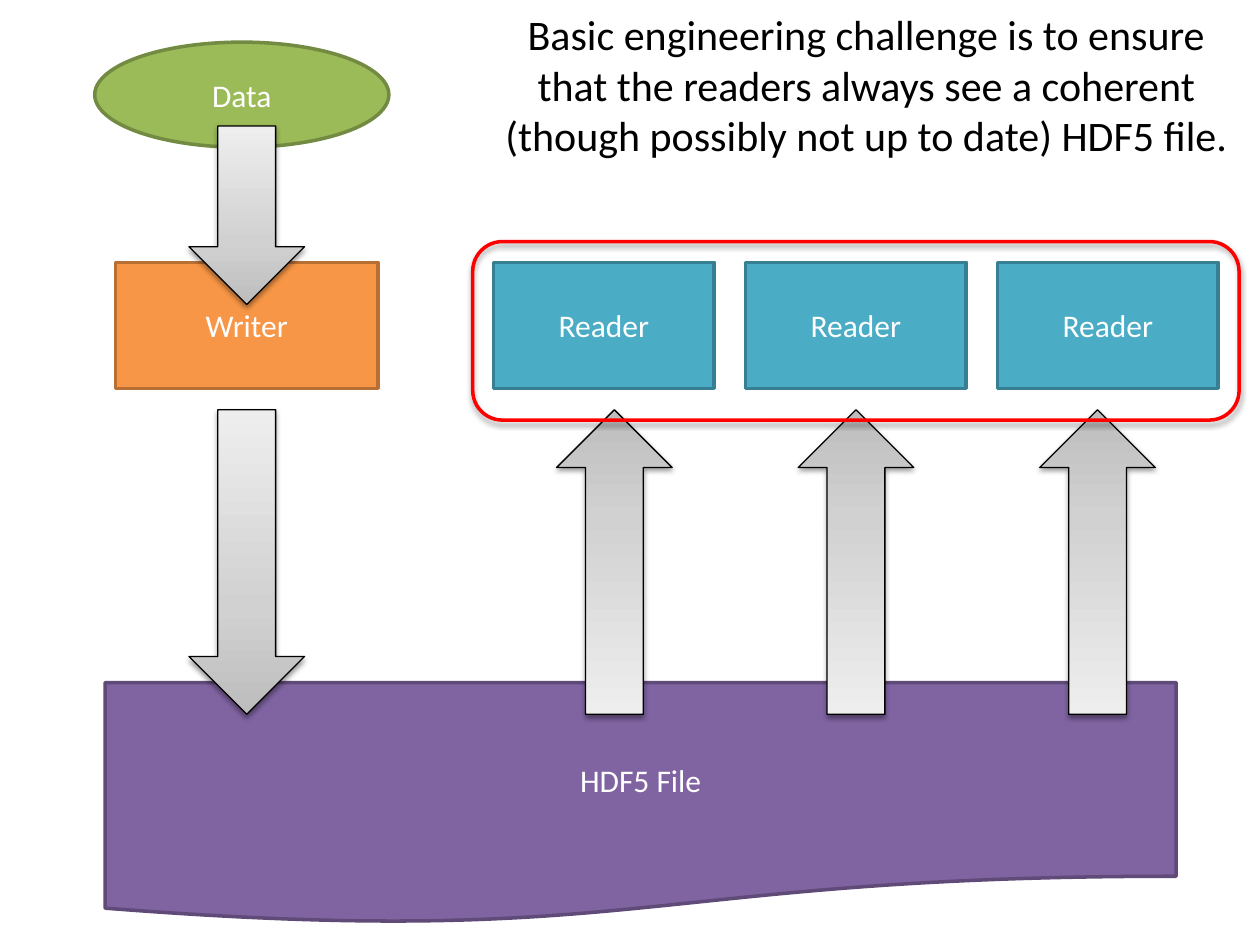
from lxml import etree
from pptx import Presentation
from pptx.dml.color import RGBColor
from pptx.enum.shapes import MSO_SHAPE
from pptx.enum.text import MSO_ANCHOR, PP_ALIGN
from pptx.oxml import parse_xml
from pptx.oxml.ns import nsdecls, qn
from pptx.util import Cm, Pt

DOCUMENT = MSO_SHAPE.FLOWCHART_DOCUMENT
RECTANGLE = MSO_SHAPE.RECTANGLE
ROUNDED = MSO_SHAPE.ROUNDED_RECTANGLE
OVAL = MSO_SHAPE.OVAL
DOWN_ARROW = MSO_SHAPE.DOWN_ARROW
CENTER = PP_ALIGN.CENTER
MIDDLE = MSO_ANCHOR.MIDDLE

FONT = "Calibri"
ARROW_STOPS = ((0, "BDBDBD"), (35, "D1D1D1"), (100, "EEEEEE"))
READER_COUNT = 3
CHALLENGE = ("Basic engineering challenge is to ensure that the readers always "
             "see a coherent (though possibly not up to date) HDF5 file.")


def rgb(value):
    """Turn a hex string into a colour."""
    return RGBColor.from_string(value)


def write_text(frame, text, size, color):
    """Fill a text frame with one centred paragraph."""
    frame.word_wrap = True
    paragraph = frame.paragraphs[0]
    paragraph.alignment = CENTER
    run = paragraph.add_run()
    run.text = text
    for attribute, value in {"name": FONT, "size": Pt(size)}.items():
        setattr(run.font, attribute, value)
    run.font.color.rgb = rgb(color)


def add_outlined(slide, kind, box, line_color, line_width):
    """Add a preset shape with an outline and no shadow."""
    shape = slide.shapes.add_shape(kind, *map(Cm, box))
    shape.shadow.inherit = False
    shape.line.color.rgb = rgb(line_color)
    shape.line.width = Pt(line_width)
    return shape


def add_node(slide, kind, box, label, fill, border):
    """Add a filled shape with a white label."""
    node = add_outlined(slide, kind, box, border, 2)
    node.fill.solid()
    node.fill.fore_color.rgb = rgb(fill)
    node.text_frame.vertical_anchor = MIDDLE
    write_text(node.text_frame, label, 18, "FFFFFF")


def add_shadow(shape, opacity, distance):
    """Give a shape a soft shadow that falls straight down."""
    effects = shape._element.spPr.find(qn("a:effectLst"))
    shadow = etree.SubElement(
        effects, qn("a:outerShdw"), blurRad=str(Pt(3.1)),
        dist=str(Pt(distance)), dir="5400000", rotWithShape="0")
    color = etree.SubElement(shadow, qn("a:srgbClr"), val="000000")
    etree.SubElement(color, qn("a:alpha"), val=str(opacity * 1000))


def add_flow_arrow(slide, box, rotation=0):
    """Add a grey gradient block arrow."""
    arrow = add_outlined(slide, DOWN_ARROW, box, "000000", 0.75)
    arrow.rotation = rotation
    arrow.fill.gradient()
    stops = "".join(
        f'<a:gs pos="{position * 1000}"><a:srgbClr val="{color}"/></a:gs>'
        for position, color in ARROW_STOPS)
    gradient = parse_xml(
        f'<a:gradFill {nsdecls("a")} rotWithShape="1"><a:gsLst>{stops}</a:gsLst>'
        '<a:lin ang="16200000" scaled="0"/></a:gradFill>')
    properties = arrow._element.spPr
    properties.replace(properties.find(qn("a:gradFill")), gradient)
    add_shadow(arrow, 38, 1.6)


def add_reader_frame(slide, box):
    """Add the red frame around the readers."""
    frame = add_outlined(slide, ROUNDED, box, "FF0000", 2)
    frame.fill.background()
    add_shadow(frame, 35, 1.8)


def add_statement(slide, box, text):
    """Add the large statement in a text box."""
    statement = slide.shapes.add_textbox(*map(Cm, box))
    write_text(statement.text_frame, text, 24, "000000")


def main():
    """Build the slide and save it."""
    deck = Presentation()
    deck.slide_width, deck.slide_height = Cm(25.4), Cm(19.05)
    slide = deck.slides.add_slide(deck.slide_layouts[6])

    add_node(slide, DOCUMENT, (2.12, 13.76, 21.59, 4.87), "HDF5 File",
             "8064A2", "5F4A78")
    add_node(slide, RECTANGLE, (2.33, 5.29, 5.29, 2.54), "Writer",
             "F79646", "B76F34")
    for index in range(READER_COUNT):
        add_node(slide, RECTANGLE, (9.95 + 5.08 * index, 5.29, 4.45, 2.54),
                 "Reader", "4BACC6", "377F92")

    add_flow_arrow(slide, (3.81, 8.26, 2.33, 6.14))
    for index in range(READER_COUNT):
        add_flow_arrow(slide, (11.22 + 4.87 * index, 8.26, 2.33, 6.14), 180)

    add_node(slide, OVAL, (1.91, 0.85, 5.93, 2.12), "Data",
             "9BBB59", "738A42")
    add_flow_arrow(slide, (3.81, 2.54, 2.33, 3.6))
    add_statement(slide, (9.63, 0.05, 15.67, 4.24), CHALLENGE)
    add_reader_frame(slide, (9.53, 4.87, 15.45, 3.6))

    deck.save("out.pptx")


if __name__ == "__main__":
    main()
